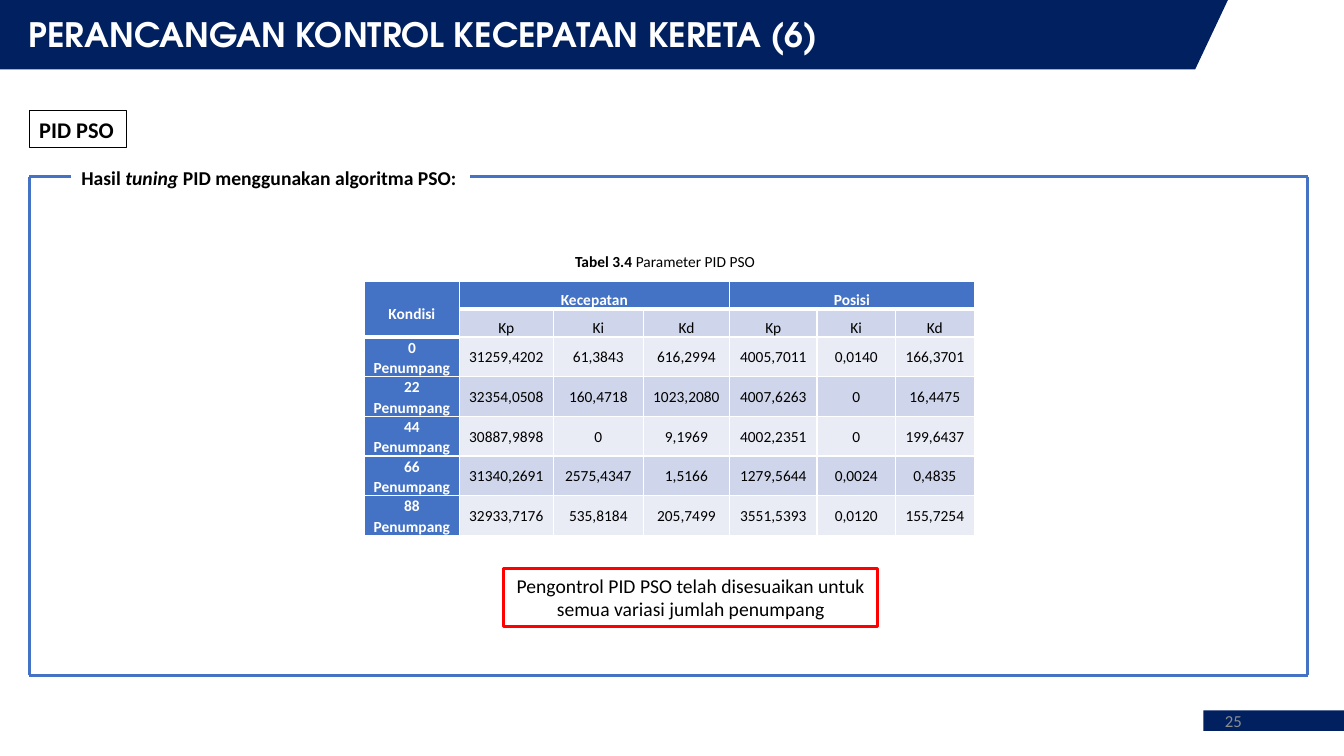
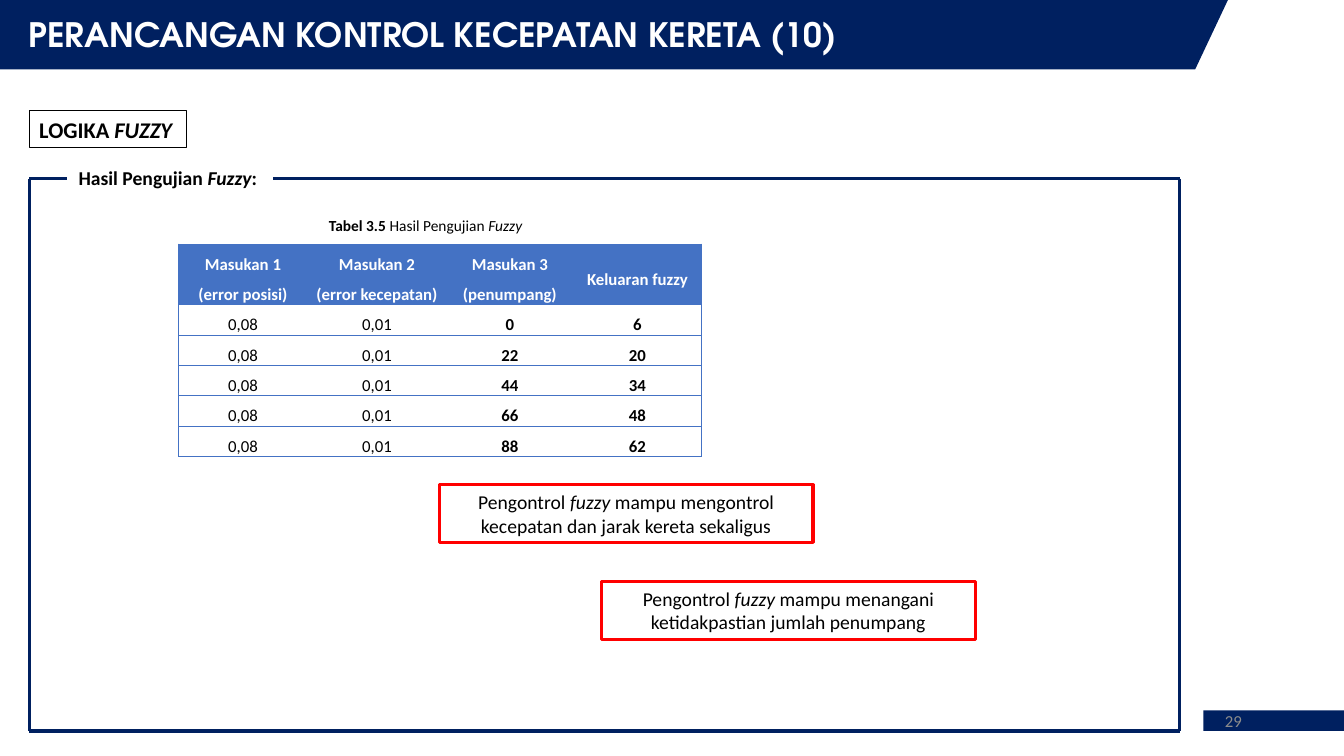
"""Build two slides on train speed control: PSO tuning and fuzzy logic tests."""
import itertools

import pptx
import pptx.dml.color
import pptx.enum.shapes
import pptx.enum.text
import pptx.oxml
import pptx.oxml.ns
import pptx.util

Cm, Pt = pptx.util.Cm, pptx.util.Pt
RGBColor = pptx.dml.color.RGBColor
ALIGN = pptx.enum.text.PP_ALIGN
ANCHOR = pptx.enum.text.MSO_ANCHOR

NAVY = RGBColor(0x00, 0x20, 0x60)
BLUE = RGBColor(0x44, 0x72, 0xC4)
BAND_DARK = RGBColor(0xCF, 0xD5, 0xEA)
BAND_LIGHT = RGBColor(0xE9, 0xEB, 0xF5)
RED = RGBColor(0xFF, 0x00, 0x00)
GREY = RGBColor(0x8C, 0x8C, 0x8C)
BLACK = RGBColor(0x00, 0x00, 0x00)
WHITE = RGBColor(0xFF, 0xFF, 0xFF)

BODY_FONT, TITLE_FONT = "Calibri", "TeX Gyre Adventor"
SLIDE_SIZE = (33.87, 19.05)
BANNER = [(0, -0.03), (30.96, -0.03), (30.12, 1.75), (0, 1.75)]
FOOTER_BLOCK = (30.33, 17.9, 3.54, 0.52)
PAGE_NUMBER = (23.93, 17.65, 7.62, 1.02)
NOTE_SIZE = (9.42, 1.45)

PSO_ROWS = [
    ["Kondisi", "Kecepatan", "", "", "Posisi", "", ""],
    ["", "Kp", "Ki", "Kd", "Kp", "Ki", "Kd"],
    ["0 Penumpang", "31259,4202", "61,3843", "616,2994", "4005,7011", "0,0140", "166,3701"],
    ["22 Penumpang", "32354,0508", "160,4718", "1023,2080", "4007,6263", "0", "16,4475"],
    ["44 Penumpang", "30887,9898", "0", "9,1969", "4002,2351", "0", "199,6437"],
    ["66 Penumpang", "31340,2691", "2575,4347", "1,5166", "1279,5644", "0,0024", "0,4835"],
    ["88 Penumpang", "32933,7176", "535,8184", "205,7499", "3551,5393", "0,0120", "155,7254"],
]
FUZZY_HEADER = ["Masukan 1\n(error posisi)", "Masukan 2\n(error kecepatan)",
                "Masukan 3\n(penumpang)", "Keluaran fuzzy"]
FUZZY_RESULTS = [("0", "6"), ("22", "20"), ("44", "34"), ("66", "48"), ("88", "62")]
FUZZY_ROWS = [FUZZY_HEADER] + [["0,08", "0,01", *result] for result in FUZZY_RESULTS]


def pso_style(row, column):
    """Return fill, bold, line spacing and borders of a tuning table cell."""
    heading = row == 0 or column == 0
    fill = BLUE if heading else BAND_DARK if row % 2 else BAND_LIGHT
    under = 3 if row == 0 or (row == 1 and column == 0) else 1
    over = 3 if (row == 1 and column) or (row == 2 and column == 0) else 1
    borders = {"L": (WHITE, 1), "R": (WHITE, 1), "T": (WHITE, over), "B": (WHITE, under)}
    return fill, heading, 1.5 if row < 2 else 1.07, borders


def fuzzy_style(row, column):
    """Return fill, bold, line spacing and borders of a fuzzy test cell."""
    thin = (BLUE, 0.5)
    borders = {"L": thin if column == 0 else None, "R": thin if column == 3 else None,
               "T": thin, "B": thin}
    return None if row else BLUE, row == 0 or column > 1, 1.5, borders


SLIDES = [
    {
        "title": "PERANCANGAN KONTROL KECEPATAN KERETA (6)",
        "page": "25",
        "tag": ([("PID PSO", "b")], 2.44),
        "legend": ([("Hasil ", "b"), ("tuning ", "bi"),
                    ("PID menggunakan algoritma PSO:", "b")], (1.8, 4.06, 11.25, 0.76)),
        "frame": {"edges": (0.74, 4.45, 32.96, 17.02), "gap": (1.8, 11.84), "color": BLUE},
        "caption": ([("Tabel 3.4 ", "b"), ("Parameter PID PSO", "")], (12.85, 6.22, 7.82, 0.74)),
        "table": {"rows": PSO_ROWS, "at": (9.19, 7.09), "size": 11, "style": pso_style,
                  "widths": [2.38, 2.38, 2.26, 2.18, 2.2, 1.98, 1.98],
                  "heights": [0.7, 0.7] + [1] * 5,
                  "merges": [(0, 0, 1, 0), (0, 1, 0, 3), (0, 4, 0, 6)]},
        "notes": [([("Pengontrol PID PSO telah disesuaikan untuk semua variasi jumlah penumpang",
                     "")], (12.7, 14.33))],
    },
    {
        "title": "PERANCANGAN KONTROL KECEPATAN KERETA (10)",
        "page": "29",
        "tag": ([("LOGIKA ", "b"), ("FUZZY", "bi")], 3.96),
        "legend": ([("Hasil Pengujian ", "b"), ("Fuzzy", "bi"), (":", "b")],
                   (1.73, 4.06, 7.42, 0.86)),
        "frame": {"edges": (0.74, 4.5, 29.73, 18.42), "gap": (1.7, 6.88), "color": NAVY},
        "caption": ([("Tabel 3.5 ", "b"), ("Hasil Pengujian ", ""), ("Fuzzy", "i")],
                    (5.44, 5.31, 10.57, 0.74)),
        "table": {"rows": FUZZY_ROWS, "at": (4.5, 6.15), "size": 12, "style": fuzzy_style,
                  "widths": [3.25, 3.5, 3.2, 3.23], "heights": [1.53] + [0.76] * 5,
                  "merges": []},
        "notes": [
            ([("Pengontrol ", ""), ("fuzzy ", "i"),
              ("mampu menangani ketidakpastian jumlah penumpang", "")], (15.16, 14.66)),
            ([("Pengontrol ", ""), ("fuzzy ", "i"),
              ("mampu mengontrol kecepatan dan jarak kereta sekaligus", "")], (11.07, 12.22)),
        ],
    },
]


def apply(target, values):
    """Set every attribute given in a dict."""
    for name, value in values.items():
        setattr(target, name, value)


def write(paragraph, runs, size, color=BLACK, font=BODY_FONT, **layout):
    """Fill a paragraph with styled runs."""
    apply(paragraph, layout)
    for text, marks in runs:
        run = paragraph.add_run()
        run.text = text
        apply(run.font, {"name": font, "size": Pt(size), "bold": "b" in marks,
                         "italic": "i" in marks})
        run.font.color.rgb = color


def add_text(slide, box, runs, size, color=BLACK, outline=None, wrap=True,
             anchor=ANCHOR.TOP, **layout):
    """Add a text box with an optional outline."""
    label = slide.shapes.add_textbox(*map(Cm, box))
    apply(label.text_frame, {"word_wrap": wrap, "vertical_anchor": anchor})
    if outline:
        label.line.color.rgb, label.line.width = outline[0], Pt(outline[1])
    write(label.text_frame.paragraphs[0], runs, size, color, **layout)


def paint(shape, color):
    """Give a shape a plain fill."""
    shape.shadow.inherit = False
    shape.fill.solid()
    shape.fill.fore_color.rgb = color
    shape.line.fill.background()


def add_base(slide, title, page):
    """Add the title banner and the page number."""
    corners = [(Cm(x), Cm(y)) for x, y in BANNER]
    outline = slide.shapes.build_freeform(*corners[0])
    outline.add_line_segments(corners[1:], close=True)
    banner = outline.convert_to_shape()
    paint(banner, NAVY)
    apply(banner.text_frame, {"word_wrap": True, "vertical_anchor": ANCHOR.MIDDLE,
                              "margin_left": Cm(0.72)})
    write(banner.text_frame.paragraphs[0], [(title, "b")], 24, WHITE, TITLE_FONT,
          alignment=ALIGN.LEFT)
    rectangle = pptx.enum.shapes.MSO_SHAPE.RECTANGLE
    paint(slide.shapes.add_shape(rectangle, *map(Cm, FOOTER_BLOCK)), NAVY)
    add_text(slide, PAGE_NUMBER, [(page, "")], 12, GREY, anchor=ANCHOR.MIDDLE,
             alignment=ALIGN.RIGHT)


def add_frame(slide, edges, gap, color):
    """Draw a frame whose top side is open where the legend stands."""
    left, top, right, bottom = edges
    points = [(gap[1], top), (right, top), (right, bottom), (left, bottom),
              (left, top), (gap[0], top)]
    for start, end in itertools.pairwise(points):
        side = slide.shapes.add_connector(pptx.enum.shapes.MSO_CONNECTOR.STRAIGHT,
                                          *map(Cm, start + end))
        side.line.color.rgb, side.line.width = color, Pt(2.25)
        side._element.spPr.append(pptx.oxml.parse_xml(
            f'<a:effectLst {pptx.oxml.ns.nsdecls("a")}/>'))


def set_borders(cell, borders):
    """Write the four cell borders; None hides a side."""
    properties = cell._tc.get_or_add_tcPr()
    for side, border in borders.items():
        color, width = border or (None, 0)
        fill = f'<a:solidFill><a:srgbClr val="{color}"/></a:solidFill>' if border else "<a:noFill/>"
        properties.append(pptx.oxml.parse_xml(
            f'<a:ln{side} {pptx.oxml.ns.nsdecls("a")} w="{int(Pt(width))}">{fill}</a:ln{side}>'))


def add_grid(slide, rows, at, size, style, widths, heights, merges):
    """Add a table and style it cell by cell."""
    box = (*at, sum(widths), sum(heights))
    table = slide.shapes.add_table(len(rows), len(widths), *map(Cm, box)).table
    apply(table, {"first_row": False, "horz_banding": False})
    for column, width in zip(table.columns, widths):
        column.width = Cm(width)
    for row, height in zip(table.rows, heights):
        row.height = Cm(height)
    for top, left, bottom, right in merges:
        table.cell(top, left).merge(table.cell(bottom, right))
    for r, c in itertools.product(range(len(rows)), range(len(widths))):
        cell = table.cell(r, c)
        fill, bold, spacing, borders = style(r, c)
        apply(cell, {"margin_left": Cm(0.17), "margin_right": Cm(0.17), "margin_top": 0,
                     "margin_bottom": 0, "vertical_anchor": ANCHOR.MIDDLE})
        set_borders(cell, borders)
        if fill:
            cell.fill.solid()
            cell.fill.fore_color.rgb = fill
        else:
            cell.fill.background()
        if not rows[r][c]:
            continue
        for i, line in enumerate(rows[r][c].split("\n")):
            frame = cell.text_frame
            paragraph = frame.add_paragraph() if i else frame.paragraphs[0]
            write(paragraph, [(line, "b" if bold else "")], size,
                  WHITE if fill == BLUE else BLACK,
                  alignment=ALIGN.CENTER, line_spacing=spacing)


def main():
    """Build and save the presentation."""
    deck = pptx.Presentation()
    deck.slide_width, deck.slide_height = map(Cm, SLIDE_SIZE)
    for content in SLIDES:
        slide = deck.slides.add_slide(deck.slide_layouts[6])
        add_base(slide, content["title"], content["page"])
        tag, tag_width = content["tag"]
        add_text(slide, (0.74, 2.79, tag_width, 0.94), tag, 16, outline=(BLACK, 0.75),
                 wrap=False)
        legend, legend_box = content["legend"]
        add_text(slide, legend_box, legend, 14, alignment=ALIGN.JUSTIFY)
        add_frame(slide, **content["frame"])
        add_grid(slide, **content["table"])
        caption, caption_box = content["caption"]
        add_text(slide, caption_box, caption, 11, alignment=ALIGN.CENTER, space_after=Pt(10))
        for note, position in content["notes"]:
            add_text(slide, position + NOTE_SIZE, note, 14, outline=(RED, 2.25),
                     alignment=ALIGN.CENTER)
    deck.save("out.pptx")


if __name__ == "__main__":
    main()
